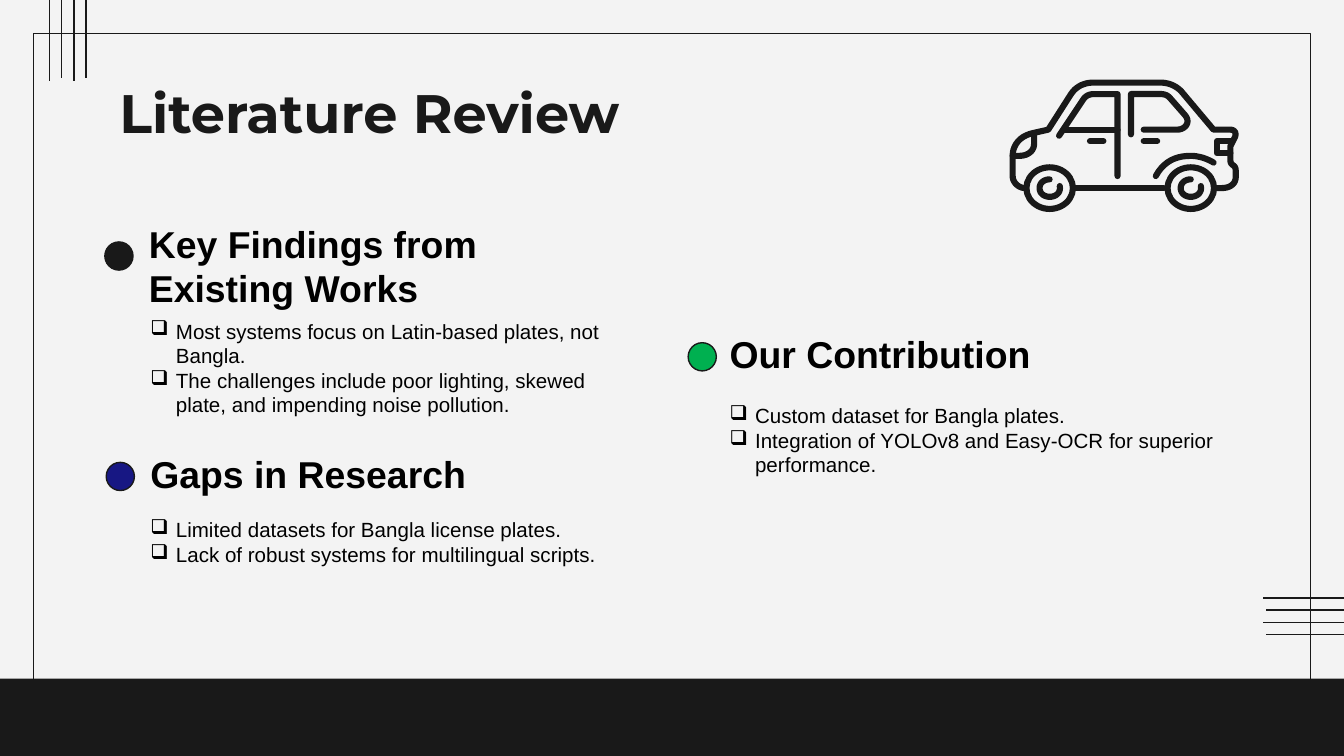
from lxml import etree
from pptx import Presentation, util as u
from pptx.dml.color import RGBColor
from pptx.enum import shapes, text
from pptx.oxml import ns

COLS, ROWS = 100, 56.25  # square grid cells over the slide
CELL = u.Inches(0.1)
HEX = {"paper": "F3F3F3", "ink": "191919", "text": "000000",
       "blue": "171783", "green": "00B050"}
THIN, BOLD = 0.75, 3.3

# Car strokes on the grid: two numbers are a point, six a Bezier curve.
BODY = [(76.3, 14), (75.8, 14, 75.35, 13.6, 75.35, 13.1), (75.35, 11.6),
        (75.35, 10.8, 75.9, 10.1, 76.9, 9.9), (78, 9.65), (79.7, 7),
        (80.1, 6.4, 80.7, 6.15, 81.4, 6.15), (86.3, 6.15),
        (87, 6.15, 87.5, 6.4, 87.9, 6.8), (90.3, 9.65), (91.5, 9.65),
        (91.9, 9.65, 92, 9.9, 91.9, 10.2), (91.55, 10.9), (91.55, 11.9),
        (91.55, 12.4, 91.95, 12.2, 91.95, 12.7), (91.95, 13.2),
        (91.95, 13.7, 91.5, 14, 90.9, 14), (90.5, 14)]
ARCH = [(86, 13.1), (86.6, 12, 87.5, 11.6, 88.6, 11.6),
        (89.2, 11.6, 89.8, 11.8, 90.3, 12.1)]
FRONT = [(78.8, 10.1), (80.6, 7.4), (80.8, 7.1, 81.1, 7, 81.4, 7),
         (83.15, 7), (83.15, 13.1)]
REAR = [(84.15, 10), (84.15, 7), (86.3, 7), (86.7, 7, 86.9, 7.1, 87.1, 7.35),
        (88.2, 8.6), (88.6, 9.1, 88.2, 9.65, 87.6, 9.65), (85.1, 9.65)]
HEAD = [(76.95, 10), (76.95, 10.7), (76.95, 11.3, 76.4, 11.6, 75.9, 11.6),
        (75.35, 11.6)]
TAIL = [(91.55, 10.5), (90.55, 10.5), (90.55, 11.4), (91.55, 11.4)]
HUB = [(0, -0.65), (-0.4, -0.65, -0.75, -0.4, -0.75, 0),
       (-0.75, 0.4, -0.4, 0.65, 0, 0.65), (0.4, 0.65, 0.85, 0.4, 0.75, -0.15)]
BARS = [(80, 14, 86.6), (79.2, 9.65, 83.15), (81.1, 10.5, 82.1),
        (85.1, 10.5, 86.1)]
WHEELS = (78.1, 88.6)

# Heading box, list box, dot corner, dot colour, heading, list items
TOPICS = [
    ((10.1, 16.5, 37.4, 7.6), (10.2, 22.7, 35.8, 9.3), (7.8, 18), "ink",
     "Key Findings from Existing Works",
     ["Most systems focus on Latin-based plates, not Bangla.",
      "The challenges include poor lighting, skewed plate, and impending "
      "noise pollution."]),
    ((10.2, 33, 28.9, 4.9), (10.2, 37.5, 35.8, 6.9), (7.9, 34.4), "blue",
     "Gaps in Research",
     ["Limited datasets for Bangla license plates.",
      "Lack of robust systems for multilingual scripts."]),
    ((53.3, 24.1, 32.2, 4.9), (53.3, 29, 40.6, 8.4), (51.2, 25.5), "green",
     "Our Contribution",
     ["Custom dataset for Bangla plates.",
      "Integration of YOLOv8 and Easy-OCR for superior performance."]),
]


def grid(*nums):
    return [u.Emu(round(n * CELL)) for n in nums]


def rgb(name):
    return RGBColor.from_string(HEX[name])


def ink(line, width):
    line.color.rgb = rgb("ink")
    line.width = u.Pt(width)
    if width == BOLD:
        ln = line._get_or_add_ln()
        ln.set("cap", "rnd")
        etree.SubElement(ln, ns.qn("a:round"))


def block(slide, kind, box, fill, width=None):
    """Add a preset shape; no fill or no line where None is given."""
    shape = slide.shapes.add_shape(kind, *grid(*box))
    shape.shadow.inherit = False
    if fill:
        shape.fill.solid()
        shape.fill.fore_color.rgb = rgb(fill)
    else:
        shape.fill.background()
    if width:
        ink(shape.line, width)
    else:
        shape.line.fill.background()


def rule(slide, ends, width=THIN):
    line = slide.shapes.add_connector(shapes.MSO_CONNECTOR.STRAIGHT, *grid(*ends))
    ink(line.line, width)
    etree.SubElement(line._element.spPr, ns.qn("a:effectLst"))


def trace(steps, parts=10):
    """Turn points and Bezier curves into a list of points."""
    pts = [steps[0]]
    for step in steps[1:]:
        if len(step) == 2:
            pts.append(step)
            continue
        a, b, c, d = pts[-1], step[:2], step[2:4], step[4:]
        for i in range(1, parts + 1):
            t = i / parts
            s = 1 - t
            pts.append(tuple(s**3 * a[k] + 3 * s * s * t * b[k]
                             + 3 * s * t * t * c[k] + t**3 * d[k] for k in (0, 1)))
    return pts


def stroke(slide, steps, dx=0, dy=0):
    pts = [grid(x + dx, y + dy) for x, y in trace(steps)]
    path = slide.shapes.build_freeform(*pts[0])
    path.add_line_segments(pts[1:], close=False)
    shape = path.convert_to_shape()
    shape.shadow.inherit = False
    shape.fill.background()
    ink(shape.line, BOLD)


def bullet(para):
    props = para._p.get_or_add_pPr()
    props.set("marL", str(u.Inches(0.19)))
    props.set("indent", str(-u.Inches(0.19)))
    etree.SubElement(props, ns.qn("a:buChar")).set("char", "❑")


def label(slide, box, lines, size, face="Arial", tone="text", bold=False,
          anchor=text.MSO_ANCHOR.TOP, marks=False):
    frame = slide.shapes.add_textbox(*grid(*box)).text_frame
    frame.word_wrap = True
    frame.vertical_anchor = anchor
    frame.margin_left = frame.margin_right = CELL
    frame.margin_top = frame.margin_bottom = CELL
    frame.text = "\n".join(lines)
    for para in frame.paragraphs:
        if marks:
            bullet(para)
        font = para.runs[0].font
        font.name, font.size, font.bold = face, u.Pt(size), bold
        font.color.rgb = rgb(tone)


def backdrop(slide):
    rect = shapes.MSO_SHAPE.RECTANGLE
    block(slide, rect, (2.5, 2.5, COLS - 5, 51.3), "paper", THIN)
    for i in range(4):
        pos, shift = 0.9 * i, 0.2 * (i % 2)
        rule(slide, (6.4 - pos, shift - 2.8, 6.4 - pos, shift + 5.8))
        rule(slide, (94 + shift, 44.5 + pos, 102.6 + shift, 44.5 + pos))
    block(slide, rect, (0, 50.5, COLS, ROWS - 50.5), "ink")


def car(slide):
    for steps in (BODY, ARCH, FRONT, REAR, HEAD, TAIL):
        stroke(slide, steps)
    for x, y, end in BARS:
        rule(slide, (x, y, end, y), BOLD)
    for x in WHEELS:
        block(slide, shapes.MSO_SHAPE.OVAL, (x - 1.73, 12.45, 3.46, 3.1), None, BOLD)
        stroke(slide, HUB, x, 14)


def topic(slide, head, body, dot, tone, title, items):
    label(slide, body, items, 11, marks=True)
    label(slide, head, [title], 20, bold=True, anchor=text.MSO_ANCHOR.BOTTOM)
    block(slide, shapes.MSO_SHAPE.OVAL, (*dot, 2.1, 2.1), tone, THIN)


def main():
    deck = Presentation()
    deck.slide_width, deck.slide_height = grid(COLS, ROWS)
    slide = deck.slides.add_slide(deck.slide_layouts[6])
    slide.background.fill.solid()
    slide.background.fill.fore_color.rgb = rgb("paper")
    backdrop(slide)
    car(slide)
    label(slide, (7.9, 4.9, 84.3, 6.3), ["Literature Review"], 29,
          "Montserrat", "ink", True)
    for item in TOPICS:
        topic(slide, *item)
    deck.save("out.pptx")


if __name__ == "__main__":
    main()
